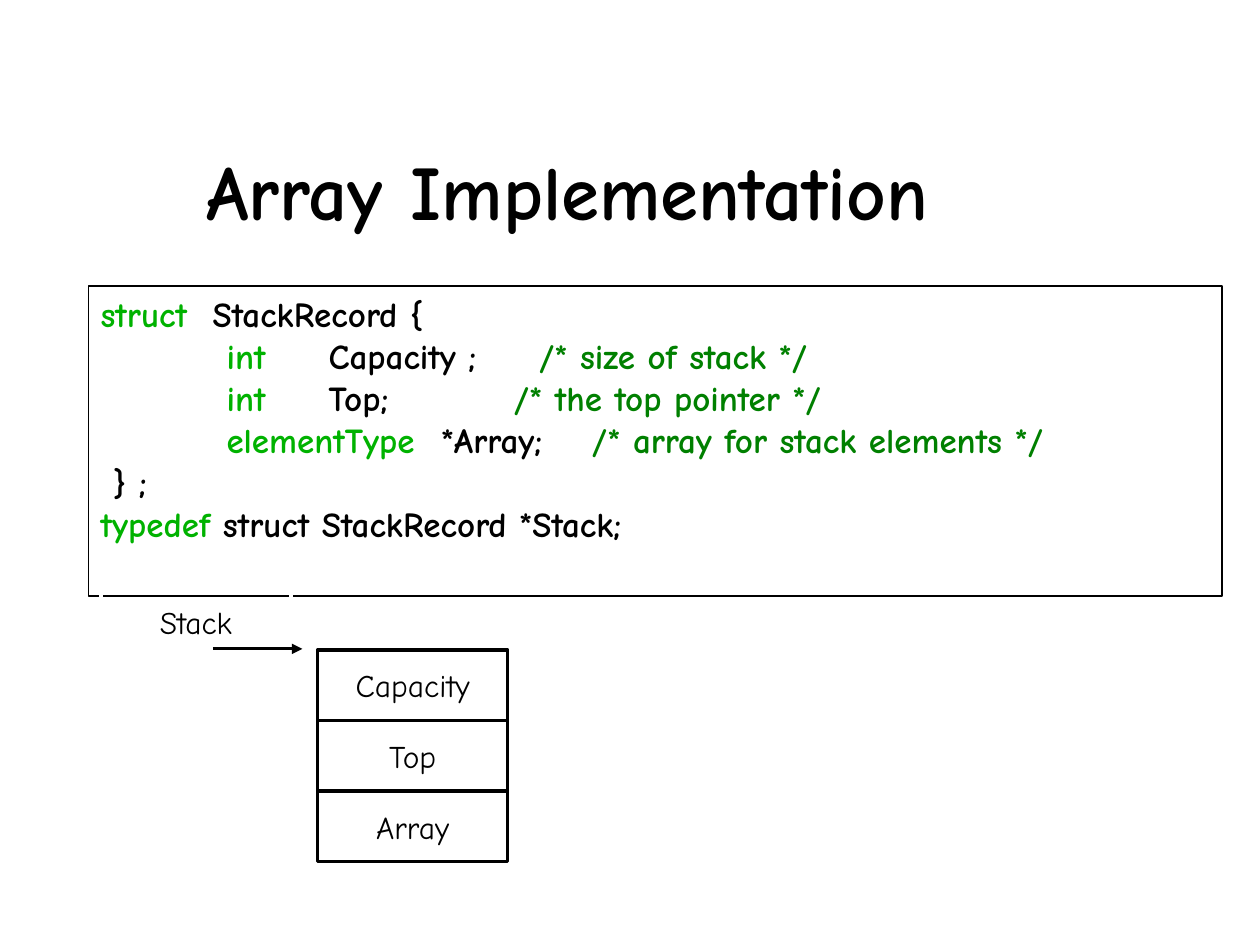
from lxml import etree
from pptx import Presentation
from pptx.dml.color import RGBColor
from pptx.enum import shapes, text
from pptx.oxml.ns import qn
from pptx.util import Inches, Pt

FONT = "Comic Neue"
BLACK = RGBColor(0x00, 0x00, 0x00)
WHITE = RGBColor(0xFF, 0xFF, 0xFF)
KEYWORD = RGBColor(0x00, 0xB2, 0x00)
COMMENT = RGBColor(0x00, 0x80, 0x00)

# Content
TITLE = "Array Implementation"
# Each code line: tab stops in inches, then (words, colour) pieces
CODE = [
    ([0.89], [("struct", KEYWORD), ("\tStackRecord {", BLACK)]),
    ([1, 1.81, 3.48], [("\tint", KEYWORD), ("\tCapacity ;", BLACK),
                       ("\t/* size of stack */", COMMENT)]),
    ([1, 1.81, 3.28], [("\tint", KEYWORD), ("\tTop;", BLACK),
                       ("\t/* the top pointer */", COMMENT)]),
    ([1, 2.7, 3.9], [("\telementType", KEYWORD), ("\t*Array;", BLACK),
                     ("\t/* array for stack elements */", COMMENT)]),
    ([], [(" } ;", BLACK)]),
    ([], [("typedef ", KEYWORD), ("struct StackRecord *Stack;", BLACK)]),
]
FIELDS = ["Capacity", "Top", "Array"]
POINTER = "Stack"

# Layout
CELL_WIDTH, CELL_HEIGHT = 1.51, 0.56
FIELDS_LEFT, FIELDS_TOP = 2.52, 5.16


def add_text(paragraph, words, size=18, color=BLACK, bold=False, align=None):
    """Append a formatted run to a paragraph."""
    run = paragraph.add_run()
    run.text = words
    run.font.name = FONT
    run.font.size = Pt(size)
    run.font.bold = bold
    run.font.color.rgb = color
    if align is not None:
        paragraph.alignment = align


def add_box(slide, left, top, width, height, line_color, line_width, anchor):
    box = slide.shapes.add_shape(
        shapes.MSO_SHAPE.RECTANGLE,
        Inches(left), Inches(top), Inches(width), Inches(height))
    box.shadow.inherit = False
    box.fill.background()
    box.line.color.rgb = line_color
    box.line.width = Pt(line_width)
    box.text_frame.word_wrap = True
    box.text_frame.vertical_anchor = anchor
    return box


def add_cell(slide, label, left, top, line_color):
    cell = add_box(slide, left, top, CELL_WIDTH, CELL_HEIGHT, line_color, 2,
                   text.MSO_ANCHOR.MIDDLE)
    add_text(cell.text_frame.paragraphs[0], label, align=text.PP_ALIGN.CENTER)


def set_tabs(paragraph, stops):
    tabs = etree.SubElement(paragraph._p.get_or_add_pPr(), qn("a:tabLst"))
    for stop in stops:
        etree.SubElement(tabs, qn("a:tab"), pos=str(Inches(stop)), algn="l")


def main():
    prs = Presentation()
    prs.slide_width, prs.slide_height = Inches(10), Inches(7.5)
    slide = prs.slides.add_slide(prs.slide_layouts[5])

    # Title
    title = slide.shapes.title
    title.left, title.top = Inches(0.75), Inches(0.17)
    title.width, title.height = Inches(7.51), Inches(1.75)
    title.text_frame.vertical_anchor = text.MSO_ANCHOR.BOTTOM
    add_text(title.text_frame.paragraphs[0], TITLE, size=44, bold=True,
             align=text.PP_ALIGN.CENTER)

    # Code listing
    listing = add_box(slide, 0.7, 2.27, 9, 2.46, BLACK, 0.75,
                      text.MSO_ANCHOR.TOP).text_frame
    for index, (stops, pieces) in enumerate(CODE):
        line = listing.add_paragraph() if index else listing.paragraphs[0]
        line.alignment = text.PP_ALIGN.LEFT
        if stops:
            set_tabs(line, stops)
        for words, color in pieces:
            add_text(line, words, size=20, color=color, bold=True)

    # Record fields, stacked, and the pointer label
    for row, field in enumerate(FIELDS):
        add_cell(slide, field, FIELDS_LEFT, FIELDS_TOP + row * CELL_HEIGHT,
                 BLACK)
    add_cell(slide, POINTER, 0.8, 4.66, WHITE)

    # Arrow from the pointer to the record
    arrow = slide.shapes.add_connector(
        shapes.MSO_CONNECTOR.STRAIGHT,
        Inches(1.69), Inches(5.15), Inches(2.4), Inches(5.15))
    arrow.line.color.rgb = BLACK
    arrow.line.width = Pt(1.75)
    etree.SubElement(arrow.line._get_or_add_ln(), qn("a:tailEnd"),
                     type="triangle")
    etree.SubElement(arrow._element.spPr, qn("a:effectLst"))

    prs.save("out.pptx")


if __name__ == "__main__":
    main()
